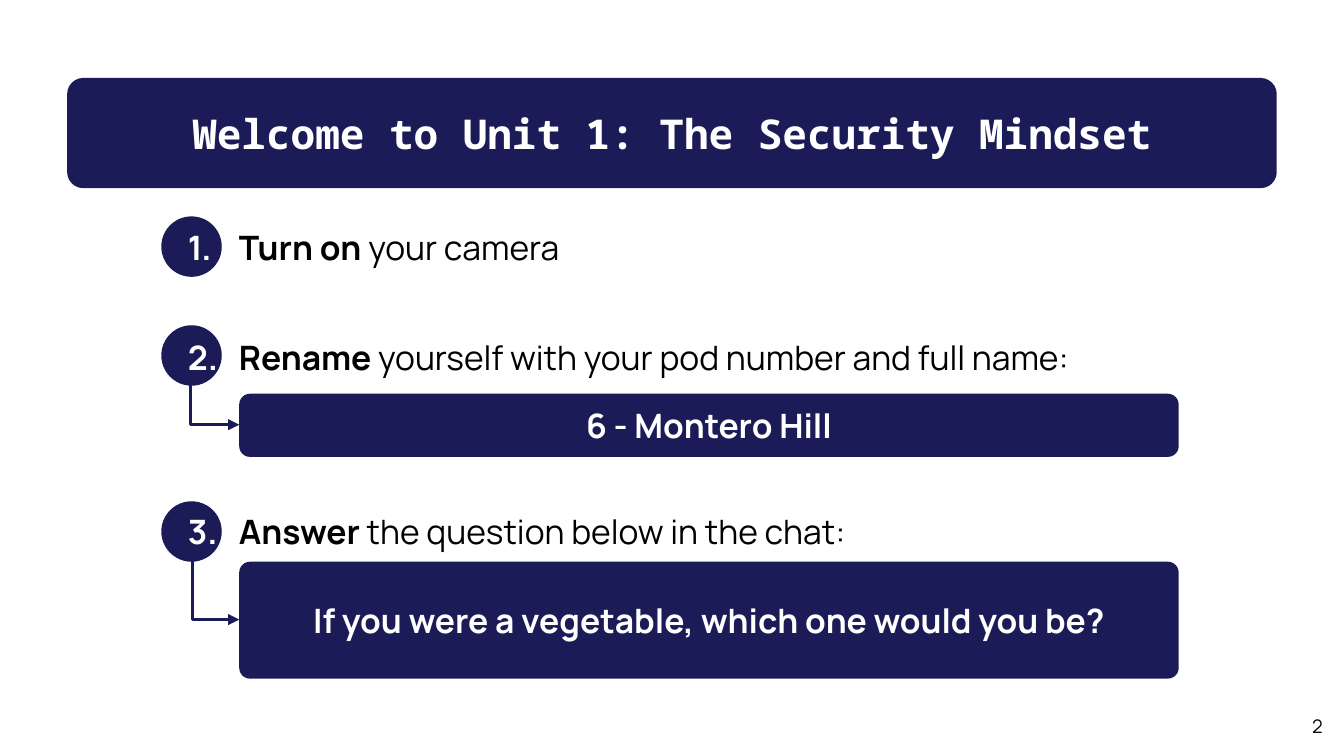
from dataclasses import dataclass

from lxml.etree import SubElement
from pptx import Presentation
from pptx.dml.color import RGBColor
from pptx.enum.shapes import MSO_CONNECTOR, MSO_SHAPE
from pptx.enum.text import MSO_ANCHOR, PP_ALIGN
from pptx.oxml.ns import qn
from pptx.shapes.autoshape import Shape
from pptx.slide import Slide
from pptx.text.text import TextFrame
from pptx.util import Inches, Pt

NAVY = RGBColor(0x1B, 0x1C, 0x57)
WHITE = RGBColor(0xFF, 0xFF, 0xFF)
BLACK = RGBColor(0, 0, 0)

BODY_FONT = "Manrope"
TITLE_FONT = "Noto Sans Mono"
SLIDE_WIDTH = 10
CIRCLE_SIZE = 0.45
CIRCLE_LEFT = 1.2
STEP_LEFT, STEP_WIDTH = 1.18, 7.6
PANEL_LEFT, PANEL_WIDTH = 1.78, 6.99
CORNER_RADIUS = 0.08

FRAME_FORMAT = {
    "word_wrap": True,
    "vertical_anchor": MSO_ANCHOR.MIDDLE,
    "margin_left": Inches(0.1),
    "margin_right": Inches(0.1),
    "margin_top": Inches(0.1),
    "margin_bottom": Inches(0.1),
}


@dataclass
class Step:
    number: int
    action: str
    detail: str
    text_top: float
    text_height: float
    circle_top: float


@dataclass
class Panel:
    text: str
    top: float
    height: float
    arrow_left: float
    arrow_top: float
    arrow_bottom: float


STEPS = [
    Step(1, "Turn on ", "your camera", 1.45, 0.77, 1.61),
    Step(2, "Rename ", "yourself with your pod number and full name:", 2.39, 0.54, 2.42),
    Step(3, "Answer ", "the question below in the chat:", 3.73, 0.45, 3.73),
]
PANELS = [
    Panel("6 - Montero Hill", 2.93, 0.47, 1.42, 2.69, 3.16),
    Panel("If you were a vegetable, which one would you be?", 4.18, 0.87, 1.43, 4, 4.61),
]


def format_frame(frame: TextFrame) -> None:
    for name, value in FRAME_FORMAT.items():
        setattr(frame, name, value)


def add_run(paragraph, text: str, size: float, color: RGBColor,
            bold: bool = False, font_name: str = BODY_FONT) -> None:
    run = paragraph.add_run()
    run.text = text
    for name, value in {"name": font_name, "size": Pt(size), "bold": bold}.items():
        setattr(run.font, name, value)
    run.font.color.rgb = color


def add_navy_shape(slide: Slide, kind: MSO_SHAPE, left: float, top: float,
                   width: float, height: float) -> Shape:
    shape = slide.shapes.add_shape(kind, Inches(left), Inches(top), Inches(width), Inches(height))
    shape.shadow.inherit = False
    shape.fill.solid()
    shape.fill.fore_color.rgb = NAVY
    shape.line.fill.background()
    return shape


def add_banner(slide: Slide, text: str, left: float, top: float, width: float, height: float,
               radius: float = CORNER_RADIUS, size: float = 18, font_name: str = BODY_FONT) -> None:
    """Add a rounded navy box with centred bold white text."""
    shape = add_navy_shape(slide, MSO_SHAPE.ROUNDED_RECTANGLE, left, top, width, height)
    shape.adjustments[0] = radius / height
    format_frame(shape.text_frame)
    paragraph = shape.text_frame.paragraphs[0]
    paragraph.alignment = PP_ALIGN.CENTER
    add_run(paragraph, text, size, WHITE, True, font_name)


def add_text_box(slide: Slide, left: float, top: float, width: float, height: float):
    """Add an empty text box and return its first paragraph."""
    box = slide.shapes.add_textbox(Inches(left), Inches(top), Inches(width), Inches(height))
    format_frame(box.text_frame)
    return box.text_frame.paragraphs[0]


def number_paragraph(paragraph, number: int) -> None:
    """Give the paragraph a white automatic number."""
    properties = paragraph._p.get_or_add_pPr()
    properties.set("marL", str(Inches(0.5)))
    properties.set("indent", str(Inches(-0.38)))
    color = SubElement(properties, qn("a:buClr"))
    SubElement(color, qn("a:srgbClr"), val=str(WHITE))
    SubElement(properties, qn("a:buFont"), typeface=BODY_FONT)
    SubElement(properties, qn("a:buAutoNum"), type="arabicPeriod", startAt=str(number))


def add_step(slide: Slide, step: Step) -> None:
    add_navy_shape(slide, MSO_SHAPE.OVAL, CIRCLE_LEFT, step.circle_top, CIRCLE_SIZE, CIRCLE_SIZE)
    paragraph = add_text_box(slide, STEP_LEFT, step.text_top, STEP_WIDTH, step.text_height)
    number_paragraph(paragraph, step.number)
    add_run(paragraph, step.action, 18, BLACK, True)
    add_run(paragraph, step.detail, 18, BLACK)


def add_bent_arrow(slide: Slide, panel: Panel) -> None:
    """Draw an arrow down from a circle and right to its panel, as a mirrored, turned elbow."""
    drop = panel.arrow_bottom - panel.arrow_top
    reach = PANEL_LEFT - panel.arrow_left
    center_x = panel.arrow_left + reach / 2
    center_y = panel.arrow_top + drop / 2
    connector = slide.shapes.add_connector(
        MSO_CONNECTOR.ELBOW,
        Inches(center_x + drop / 2), Inches(center_y - reach / 2),
        Inches(center_x - drop / 2), Inches(center_y + reach / 2))
    connector.line.color.rgb = NAVY
    connector.line.width = Pt(1.5)
    properties = connector._element.spPr
    properties.find(qn("a:xfrm")).set("rot", str(270 * 60000))
    properties.find(qn("a:prstGeom")).set("prst", "bentConnector2")
    SubElement(properties.find(qn("a:ln")), qn("a:tailEnd"), type="triangle")
    SubElement(properties, qn("a:effectLst"))


def main() -> None:
    presentation = Presentation()
    presentation.slide_width = Inches(SLIDE_WIDTH)
    presentation.slide_height = Inches(SLIDE_WIDTH * 9 / 16)
    slide = presentation.slides.add_slide(presentation.slide_layouts[6])

    for panel in PANELS:
        add_bent_arrow(slide, panel)
    for step in STEPS:
        add_step(slide, step)
    for panel in PANELS:
        add_banner(slide, panel.text, PANEL_LEFT, panel.top, PANEL_WIDTH, panel.height)
    add_banner(slide, "Welcome to Unit 1: The Security Mindset", 0.5, 0.58, 9, 0.82,
               radius=0.12, size=22, font_name=TITLE_FONT)

    page_number = add_text_box(slide, 9.34, 5.24, 0.6, 0.33)
    page_number.alignment = PP_ALIGN.RIGHT
    add_run(page_number, "2", 10, BLACK)

    presentation.save("out.pptx")


if __name__ == "__main__":
    main()
